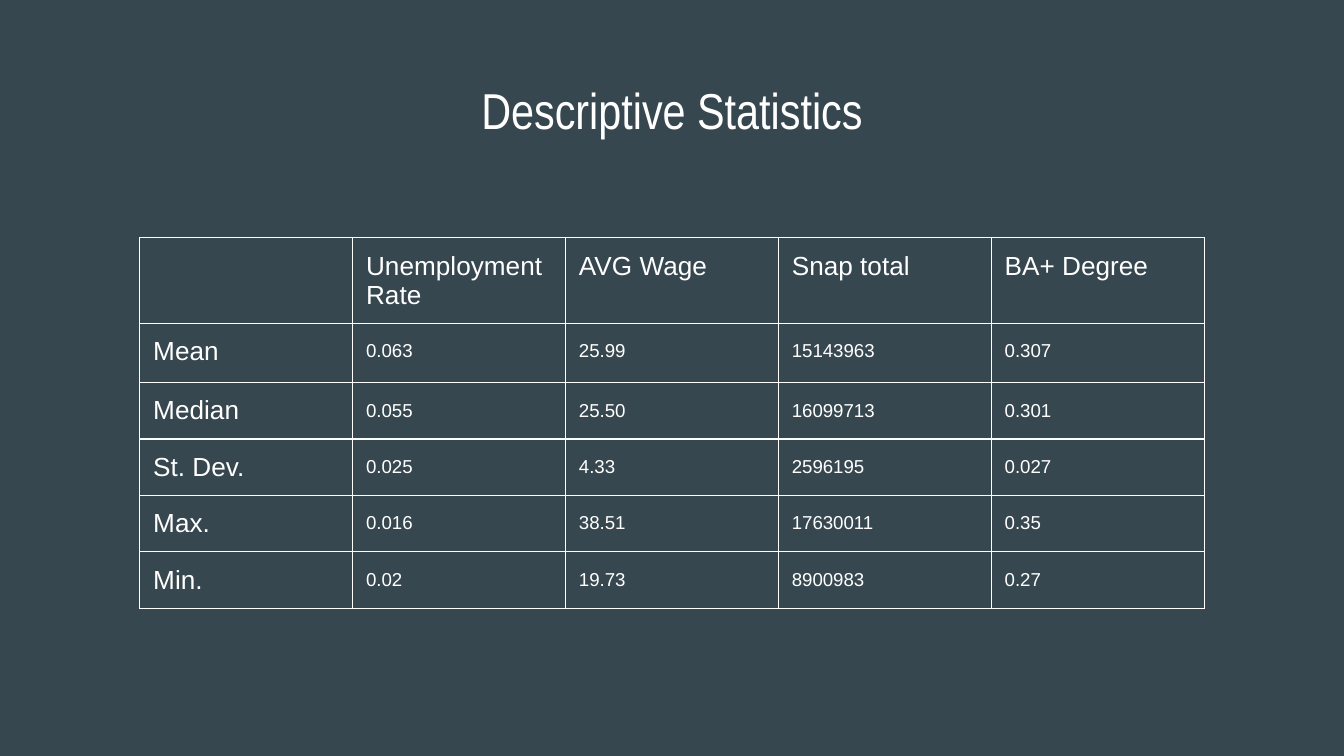
from lxml.etree import SubElement
from pptx import Presentation
from pptx.dml.color import RGBColor
from pptx.enum.text import MSO_ANCHOR, PP_ALIGN
from pptx.oxml.ns import qn
from pptx.util import Inches, Pt

COLORS = {"back": "37474F", "text": "FFFFFF", "line": "FFFFFF"}
ROWS = [
    ["", "Unemployment Rate", "AVG Wage", "Snap total", "BA+ Degree"],
    ["Mean", "0.063", "25.99", "15143963", "0.307"],
    ["Median", "0.055", "25.50", "16099713", "0.301"],
    ["St. Dev.", "0.025", "4.33", "2596195", "0.027"],
    ["Max.", "0.016", "38.51", "17630011", "0.35"],
    ["Min.", "0.02", "19.73", "8900983", "0.27"],
]
HEIGHTS = [0.42, 0.44, 0.42, 0.42, 0.42, 0.42]
WIDTH = Inches(7.92)
PAD = Inches(0.1)


def style(part, size, font):
    for run in part.runs:
        run.font.size = Pt(size)
        run.font.name = font
        run.font.color.rgb = RGBColor.from_string(COLORS["text"])


def border(cell):
    props = cell._tc.get_or_add_tcPr()
    for side in ("lnL", "lnR", "lnT", "lnB"):
        line = SubElement(props, qn(f"a:{side}"), w=str(Pt(0.75)))
        fill = SubElement(line, qn("a:solidFill"))
        SubElement(fill, qn("a:srgbClr"), val=COLORS["line"])


deck = Presentation()
deck.slide_width = Inches(10)
deck.slide_height = Inches(10) * 9 // 16
slide = deck.slides.add_slide(deck.slide_layouts[5])
slide.background.fill.solid()
slide.background.fill.fore_color.rgb = RGBColor.from_string(COLORS["back"])

title = slide.shapes.title
title.left, title.top = Inches(0.34), Inches(0.49)
title.width, title.height = Inches(9.32), Inches(0.63)
frame = title.text_frame
frame.text = "Descriptive Statistics"
frame.margin_left = frame.margin_right = PAD
frame.margin_top = frame.margin_bottom = PAD
frame.vertical_anchor = MSO_ANCHOR.TOP
frame.paragraphs[0].alignment = PP_ALIGN.CENTER
style(frame.paragraphs[0], 27, "Arial Narrow")

count = len(ROWS[0])
table = slide.shapes.add_table(
    len(ROWS), count, Inches(1.04), Inches(1.77),
    WIDTH, Inches(sum(HEIGHTS)),
).table
table.first_row = table.horz_banding = False
for column in table.columns:
    column.width = WIDTH // count

for r, row in enumerate(ROWS):
    table.rows[r].height = Inches(HEIGHTS[r])
    for c, text in enumerate(row):
        cell = table.cell(r, c)
        cell.margin_left = cell.margin_right = PAD
        cell.margin_top = cell.margin_bottom = PAD
        border(cell)
        cell.fill.background()
        cell.text_frame.text = text
        part = cell.text_frame.paragraphs[0]
        label = r == 0 or c == 0
        if not label:
            part.line_spacing = 1.2
        style(part, 14 if label else 10, "Arial")

deck.save("out.pptx")
